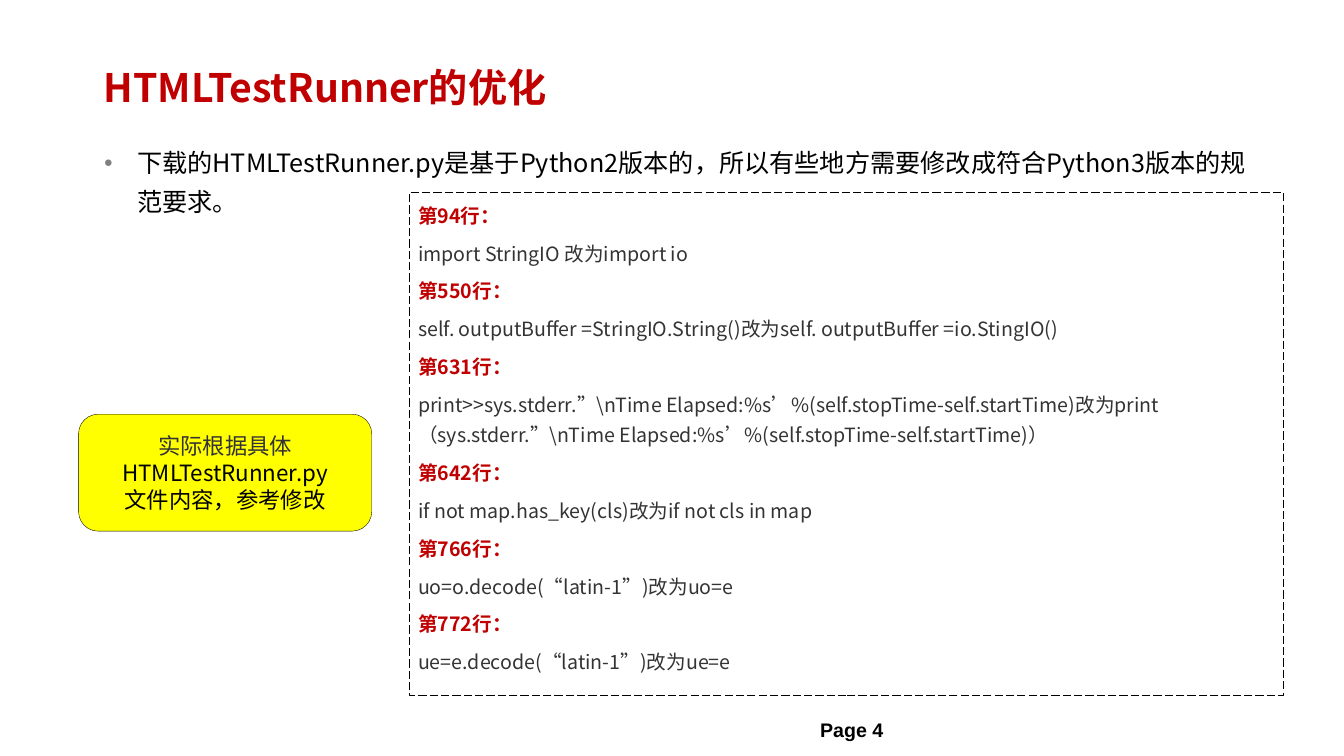
import pptx
import pptx.util
import pptx.dml.color
import pptx.enum.dml
import pptx.enum.shapes
import pptx.enum.text
import pptx.oxml
import pptx.oxml.ns
import lxml.etree

Inches = pptx.util.Inches
Pt = pptx.util.Pt
Align = pptx.enum.text.PP_ALIGN
Anchor = pptx.enum.text.MSO_ANCHOR
Preset = pptx.enum.shapes.MSO_SHAPE

COLORS = {
    "red": "C00000",
    "black": "000000",
    "gray": "333333",
    "bullet": "808080",
    "yellow": "FFFF00",
}
CJK_FONT = "Noto Sans CJK SC"
CHANGES = [
    ("第94行：", "import StringIO 改为import io"),
    ("第550行：", "self. outputBuffer =StringIO.String()改为self. outputBuffer =io.StingIO()"),
    ("第631行：", "print>>sys.stderr.”\\nTime Elapsed:%s’%(self.stopTime-self.startTime)改为print"
                "（sys.stderr.”\\nTime Elapsed:%s’%(self.stopTime-self.startTime)）"),
    ("第642行：", "if not map.has_key(cls)改为if not cls in map"),
    ("第766行：", "uo=o.decode(“latin-1”)改为uo=e"),
    ("第772行：", "ue=e.decode(“latin-1”)改为ue=e"),
]


def rgb(name):
    """Return the named colour."""
    return pptx.dml.color.RGBColor.from_string(COLORS[name])


def set_font(font, size, color, bold=False, name=CJK_FONT):
    """Format a font for Latin and East Asian text."""
    font.name = name
    font.size = Pt(size)
    font.bold = bold
    font.color.rgb = rgb(color)
    latin = font._element.find(pptx.oxml.ns.qn("a:latin"))
    east_asian = lxml.etree.Element(pptx.oxml.ns.qn("a:ea"), typeface=name)
    latin.addnext(east_asian)


def set_frame(shape, anchor, wrap=True):
    """Set margins, anchor and wrapping of a shape's text."""
    frame = shape.text_frame
    frame.auto_size = pptx.enum.text.MSO_AUTO_SIZE.NONE
    frame.word_wrap = wrap
    frame.vertical_anchor = anchor
    frame.margin_left = frame.margin_right = Inches(0.09)
    frame.margin_top = frame.margin_bottom = Inches(0.04)
    return frame


def place(shape, left, top, width, height):
    """Move and size a shape."""
    shape.left, shape.top = Inches(left), Inches(top)
    shape.width, shape.height = Inches(width), Inches(height)


def add_box(slide, preset, box, line_width):
    """Add an outlined shape without shadow."""
    shape = slide.shapes.add_shape(preset, *map(Inches, box))
    shape.shadow.inherit = False
    shape.line.color.rgb = rgb("black")
    shape.line.width = Pt(line_width)
    return shape


def add_bullet(paragraph):
    """Give a paragraph a small gray round bullet with a hanging indent."""
    properties = paragraph._p.get_or_add_pPr()
    properties.set("marL", str(Inches(0.33)))
    properties.set("indent", str(-Inches(0.33)))
    namespace = pptx.oxml.ns.nsdecls("a")
    for xml in (
        f'<a:buClr {namespace}><a:srgbClr val="{COLORS["bullet"]}"/></a:buClr>',
        f'<a:buSzPct {namespace} val="60000"/>',
        f'<a:buChar {namespace} char="●"/>',
    ):
        properties.append(pptx.oxml.parse_xml(xml))


def fill_title(slide):
    """Write the slide title."""
    title = slide.shapes.title
    place(title, 0.94, 0.39, 11.27, 0.95)
    paragraph = set_frame(title, Anchor.MIDDLE).paragraphs[0]
    paragraph.text = "HTMLTestRunner的优化"
    paragraph.alignment = Align.LEFT
    set_font(paragraph.font, 28, "red", bold=True)


def fill_body(slide):
    """Write the bulleted introduction."""
    body = slide.placeholders[1]
    place(body, 0.94, 1.33, 11.56, 1.34)
    paragraph = set_frame(body, Anchor.TOP).paragraphs[0]
    paragraph.text = ("下载的HTMLTestRunner.py是基于Python2版本的，"
                      "所以有些地方需要修改成符合Python3版本的规范要求。")
    paragraph.line_spacing = 1.3
    paragraph.space_before = Pt(0)
    add_bullet(paragraph)
    set_font(paragraph.font, 18, "black")


def add_changes(slide):
    """Add the dashed box that lists the code changes."""
    shape = add_box(slide, Preset.RECTANGLE, (4.06, 1.91, 8.68, 4.99), 0.75)
    shape.fill.background()
    shape.line.dash_style = pptx.enum.dml.MSO_LINE.LONG_DASH
    frame = set_frame(shape, Anchor.TOP)
    lines = [line for change in CHANGES for line in change]
    for index, text in enumerate(lines):
        paragraph = frame.add_paragraph() if index else frame.paragraphs[0]
        paragraph.text = text
        paragraph.alignment = Align.LEFT
        paragraph.line_spacing = 1.3
        paragraph.space_before = Pt(5.2 if index else 0)
        heading = index % 2 == 0
        set_font(paragraph.font, 14, "red" if heading else "gray", bold=heading)


def add_callout(slide):
    """Add the yellow advice box."""
    shape = add_box(slide, Preset.ROUNDED_RECTANGLE, (0.78, 4.11, 2.91, 1.16), 0.25)
    shape.fill.solid()
    shape.fill.fore_color.rgb = rgb("yellow")
    frame = set_frame(shape, Anchor.MIDDLE)
    first, second = frame.paragraphs[0], frame.add_paragraph()
    first.alignment = second.alignment = Align.CENTER
    for text, color in (("实际根据具体", "gray"), ("HTMLTestRunner.py", "black")):
        run = first.add_run()
        run.text = text
        set_font(run.font, 16, color)
    second.text = "文件内容，参考修改"
    set_font(second.font, 16, "black")


def add_page_number(slide):
    """Add the page label at the foot."""
    box = slide.shapes.add_textbox(*map(Inches, (8.05, 7.08, 1.64, 0.32)))
    paragraph = set_frame(box, Anchor.TOP).paragraphs[0]
    paragraph.text = "Page 4"
    set_font(paragraph.font, 14, "black", bold=True, name="Arial")


def main():
    """Build and save the slide."""
    presentation = pptx.Presentation()
    presentation.slide_width = Inches(13.34)
    presentation.slide_height = Inches(7.5)
    slide = presentation.slides.add_slide(presentation.slide_layouts[1])
    add_page_number(slide)
    fill_title(slide)
    fill_body(slide)
    add_changes(slide)
    add_callout(slide)
    presentation.save("out.pptx")


if __name__ == "__main__":
    main()
